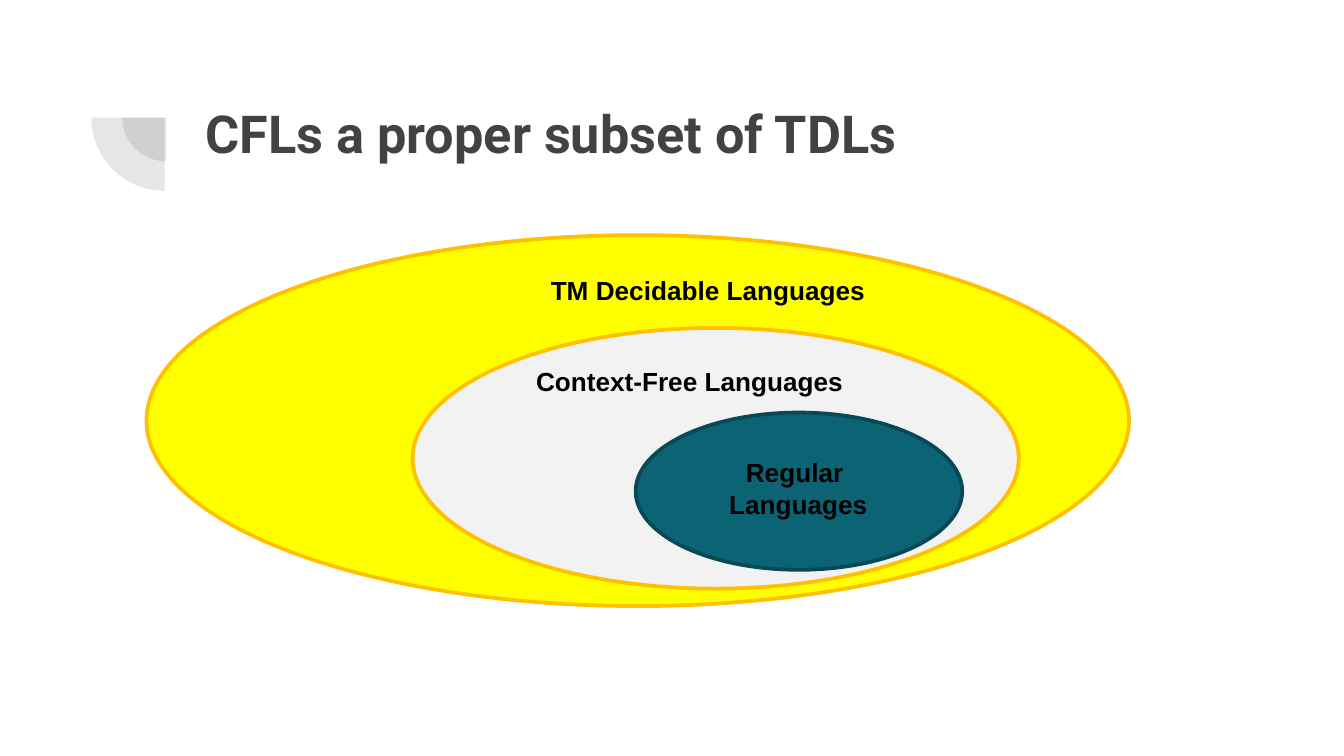
from lxml import etree
from pptx import Presentation
from pptx.dml.color import RGBColor
from pptx.enum.shapes import MSO_SHAPE as Kind
from pptx.enum.text import MSO_ANCHOR as Anchor, PP_ALIGN as Align
from pptx.oxml.ns import qn
from pptx.util import Inches, Pt

GREY = RGBColor(0x42, 0x42, 0x42)
BLACK = RGBColor(0, 0, 0)
YELLOW = RGBColor(0xFF, 0xFF, 0)
GOLD = RGBColor(0xFF, 0xC0, 0)
PALE = RGBColor(0xF2, 0xF2, 0xF2)
TEAL = RGBColor(0x0B, 0x63, 0x74)
DARK = RGBColor(0x08, 0x49, 0x56)

# Widescreen page, 16 to 9
deck = Presentation()
deck.slide_width = Inches(10)
deck.slide_height = Inches(10) * 9 // 16
slide = deck.slides.add_slide(deck.slide_layouts[6])


def add_form(kind, box, fill):
    form = slide.shapes.add_shape(kind, *map(Inches, box))
    form.shadow.inherit = False
    form.fill.solid()
    form.fill.fore_color.rgb = fill
    return form


def add_text(box, lines, size, font, color, align, inset):
    frame = slide.shapes.add_textbox(*map(Inches, box)).text_frame
    frame.word_wrap = True
    frame.vertical_anchor = Anchor.TOP
    frame.margin_top = frame.margin_bottom = Inches(inset)
    for i, line in enumerate(lines):
        para = frame.add_paragraph() if i else frame.paragraphs[0]
        para.alignment = align
        run = para.add_run()
        run.text = line
        run.font.size, run.font.name = Pt(size), font
        run.font.bold = True
        run.font.color.rgb = color


# Two see-through quarter circles around one centre
for box in ((0.91, 0.55, 0.65, 0.65), (0.68, 0.33, 1.09, 1.09)):
    pie = add_form(Kind.PIE, box, GREY)
    pie.adjustments[0], pie.adjustments[1] = 108, 162
    pie.rotation = 270
    pie.line.fill.background()
    tint = pie.fill._xPr.find(".//" + qn("a:srgbClr"))
    etree.SubElement(tint, qn("a:alpha"), val="13000")

# Title
add_text((1.43, 0.65, 7.69, 1.09), ["CFLs a proper subset of TDLs"],
         28, "Roboto", GREY, Align.LEFT, 0.1)

# Nested language classes, outermost first
for box, fill, edge in (
    ((1.09, 1.75, 7.31, 2.76), YELLOW, GOLD),
    ((3.07, 2.44, 4.51, 1.94), PALE, GOLD),
    ((4.73, 3.07, 2.43, 1.17), TEAL, DARK),
):
    oval = add_form(Kind.OVAL, box, fill)
    oval.line.color.rgb = edge
    oval.line.width = Pt(2)

# Class names
for box, lines, align in (
    ((4, 1.99, 2.54, 0.34), ["TM Decidable Languages"], Align.LEFT),
    ((3.89, 2.67, 2.54, 0.34), ["Context-Free Languages"], Align.LEFT),
    ((4.67, 3.35, 2.54, 0.57), ["Regular ", "Languages"], Align.CENTER),
):
    add_text(box, lines, 14, "Arial", BLACK, align, 0.05)

deck.save("out.pptx")
